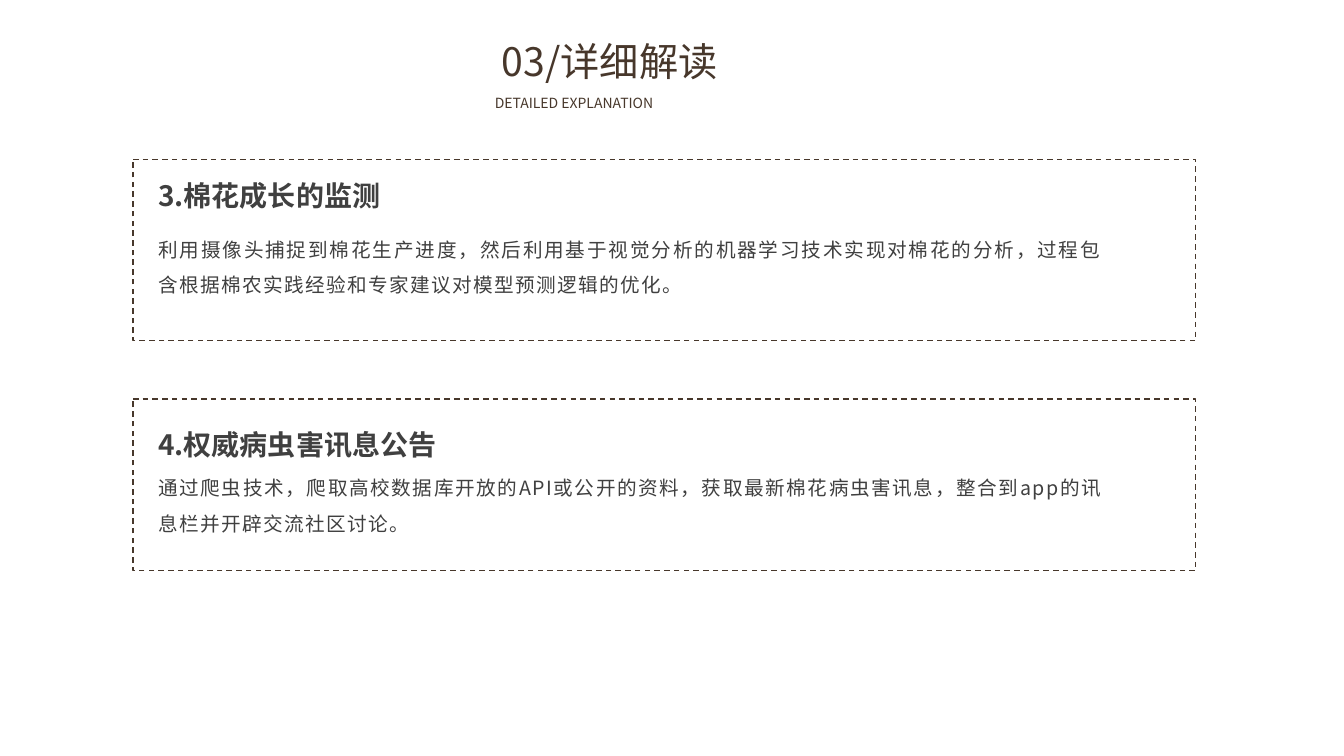
from lxml import etree
from pptx import Presentation
from pptx.dml.color import RGBColor
from pptx.enum.dml import MSO_LINE
from pptx.enum.shapes import MSO_SHAPE
from pptx.enum.text import MSO_AUTO_SIZE, PP_ALIGN
from pptx.oxml.ns import qn
from pptx.util import Inches, Pt

DASH = MSO_LINE.DASH
FRAME = MSO_SHAPE.ROUNDED_RECTANGLE
JUSTIFY = PP_ALIGN.JUSTIFY
GROW = MSO_AUTO_SIZE.SHAPE_TO_FIT_TEXT
FONT = "Noto Sans CJK SC"
COLORS = {"brown": "47372B", "text": "404040"}

deck = Presentation()
deck.slide_width, deck.slide_height = Inches(13.33), Inches(7.5)
slide = deck.slides.add_slide(deck.slide_layouts[6])


def place(left, top, width, height):
    """Turn percentages of the slide into lengths."""
    return (int(deck.slide_width * left / 100), int(deck.slide_height * top / 100),
            int(deck.slide_width * width / 100), int(deck.slide_height * height / 100))


def add_text(text, box, size, color, bold=False, line_spacing=None, tracking=0):
    frame = slide.shapes.add_textbox(*place(*box)).text_frame
    frame.word_wrap = True
    frame.auto_size = GROW
    paragraph = frame.paragraphs[0]
    paragraph.text = text
    paragraph.alignment = JUSTIFY
    paragraph.line_spacing = line_spacing
    run = paragraph.runs[0]
    run.font.size = Pt(size)
    run.font.bold = bold
    run.font.name = FONT
    run.font.color.rgb = RGBColor.from_string(COLORS[color])
    # East Asian font and letter spacing
    properties = run.font._element
    etree.SubElement(properties, qn("a:ea")).set("typeface", FONT)
    if tracking:
        properties.set("spc", str(tracking * 100))


# Section title
add_text("03/详细解读", (36.61, 4.27, 26.71, 7.6), 28, "brown")
add_text("DETAILED EXPLANATION", (36.08, 11.87, 26.71, 3.73), 10, "brown")

# Dashed panels: frame top and height, heading top and width, body top
panels = [
    (21.07, 24, 22.93, 24.23, 29.2, "3.棉花成长的监测",
     "利用摄像头捕捉到棉花生产进度，然后利用基于视觉分析的机器学习技术实现对棉花的分析，"
     "过程包含根据棉农实践经验和专家建议对模型预测逻辑的优化。"),
    (52.8, 22.67, 55.87, 29.41, 60.8, "4.权威病虫害讯息公告",
     "通过爬虫技术，爬取高校数据库开放的API或公开的资料，获取最新棉花病虫害讯息，"
     "整合到app的讯息栏并开辟交流社区讨论。"),
]
TEXT_LEFT = 11.03
for top, height, heading_top, heading_width, body_top, heading, body in panels:
    add_text(body, (TEXT_LEFT, body_top, 71.72, 10.27), 14, "text",
             line_spacing=1.5, tracking=1)
    add_text(heading, (TEXT_LEFT, heading_top, heading_width, 5.87), 20, "text", bold=True)
    panel = slide.shapes.add_shape(FRAME, *place(9.9, top, 79.07, height))
    panel.adjustments[0] = 0
    panel.shadow.inherit = False
    panel.fill.background()
    panel.line.color.rgb = RGBColor.from_string(COLORS["brown"])
    panel.line.width = Pt(1)
    panel.line.dash_style = DASH

deck.save("out.pptx")
